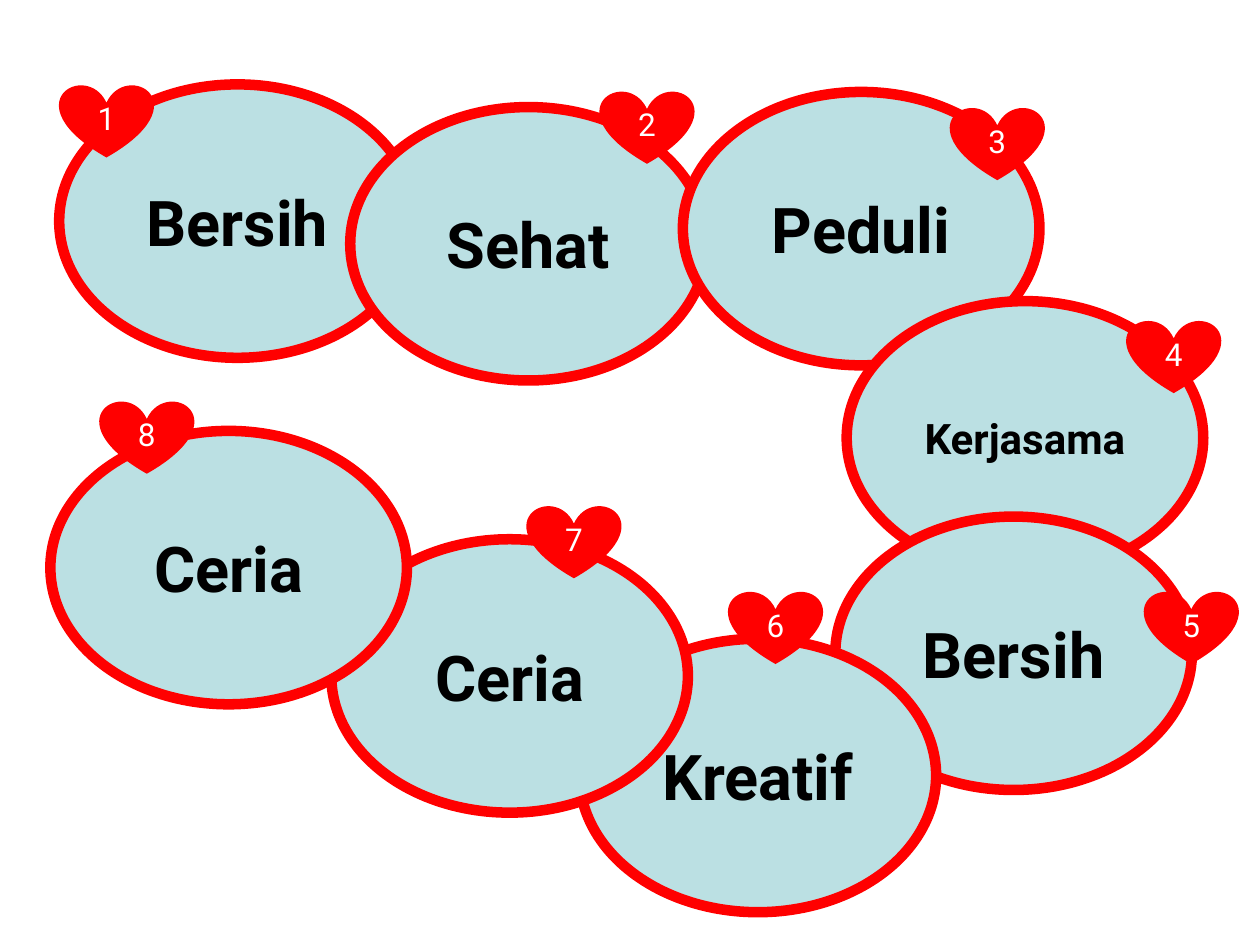
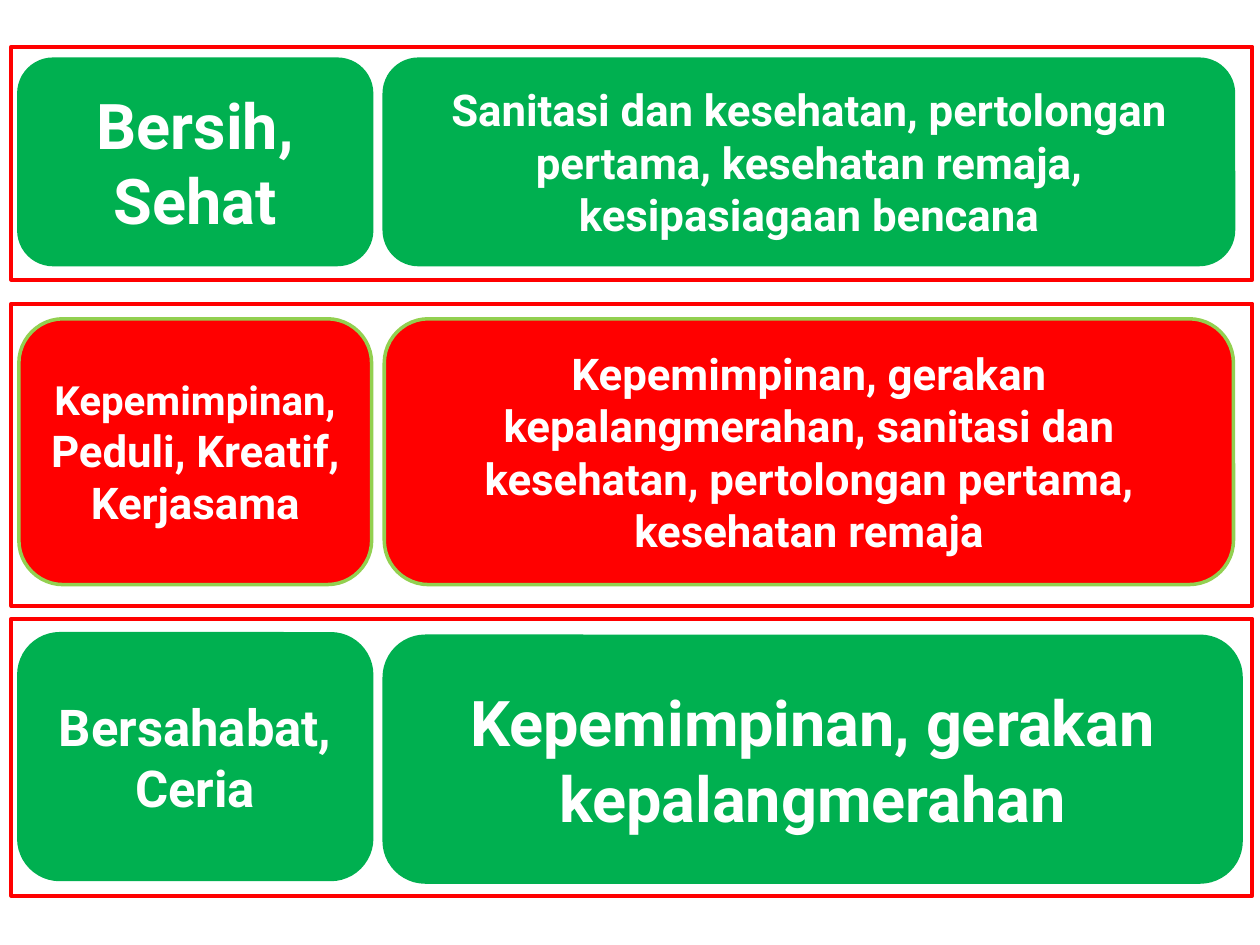
from dataclasses import dataclass

from pptx import Presentation
from pptx.dml.color import RGBColor
from pptx.enum.shapes import MSO_SHAPE
from pptx.enum.text import MSO_ANCHOR, PP_ALIGN
from pptx.util import Inches, Pt


@dataclass(frozen=True)
class Theme:
    font: str = "Roboto"
    red: str = "FF0000"
    green: str = "00B050"
    lime: str = "92D050"
    pale: str = "BBE0E3"
    black: str = "000000"
    white: str = "FFFFFF"
    big: float = 36
    medium: float = 29
    body: float = 25
    small: float = 24
    compact: float = 23
    number: float = 18
    thick: float = 6
    frame: float = 2.25
    thin: float = 2


T = Theme()
WIDTH, HEIGHT = Inches(10), Inches(7.5)
COL, ROW = WIDTH / 100, HEIGHT / 75  # grid of 100 columns by 75 rows


@dataclass(frozen=True)
class Box:
    col: float
    row: float
    cols: float
    rows: float


@dataclass(frozen=True)
class Look:
    fill: str | None = None
    line: str | None = None
    weight: float = 0


@dataclass(frozen=True)
class Text:
    words: str
    size: float
    color: str
    bold: bool = True


@dataclass(frozen=True)
class Value:
    name: str
    oval: tuple[float, float]
    heart: tuple[float, float]
    size: float = T.big


@dataclass(frozen=True)
class Band:
    frame_row: float
    frame_rows: float
    card_row: float
    card_rows: float
    look: Look
    label: list[Text]
    detail: Text
    detail_shift: float = 0
    detail_cols: float = 67.4


OVAL = Look(T.pale, T.red, T.thick)
HEART = Look(T.red)
FRAME = Look(line=T.red, weight=T.frame)
GREEN = Look(T.green, T.green, T.thin)
RED = Look(T.red, T.lime, T.thin)

# Chain of values, in drawing order
VALUES = [
    Value("Bersih", (4.7, 6.7), (4.7, 6.7)),
    Value("Sehat", (27.8, 8.5), (47.6, 7.2)),
    Value("Peduli", (54.2, 7.3), (75.4, 8.5)),
    Value("Kerjasama", (67.2, 23.9), (89.4, 25.4), T.small),
    Value("Bersih", (66.3, 41), (90.8, 46.9)),
    Value("Kreatif", (46, 50.7), (57.8, 46.9)),
    Value("Ceria", (26.3, 42.8), (41.8, 40.1)),
    Value("Ceria", (4, 34.2), (7.9, 31.8)),
]

# Values matched with their subjects
BANDS = [
    Band(3.7, 18.5, 4.7, 16.3, GREEN,
         [Text("Bersih, Sehat", T.big, T.white)],
         Text("Sanitasi dan kesehatan, pertolongan pertama, "
              "kesehatan remaja, kesipasiagaan bencana", T.body, T.white)),
    Band(24.1, 24, 25.3, 21.1, RED,
         [Text("Kepemimpinan, ", T.compact, T.white),
          Text("Peduli, Kreatif, Kerjasama", T.body, T.white)],
         Text("Kepemimpinan, gerakan kepalangmerahan, sanitasi dan kesehatan, "
              "pertolongan pertama, kesehatan remaja", T.body, T.white)),
    Band(49.1, 22, 50.3, 19.5, GREEN,
         [Text("Bersahabat, Ceria", T.medium, T.white)],
         Text("Kepemimpinan, gerakan kepalangmerahan", T.big, T.white),
         detail_shift=0.2, detail_cols=68),
]


def add_shape(s, kind: MSO_SHAPE, box: Box, look: Look, *texts: Text) -> None:
    """Draw one shape with centred text."""
    sp = s.shapes.add_shape(kind, round(box.col * COL), round(box.row * ROW),
                            round(box.cols * COL), round(box.rows * ROW))
    sp.shadow.inherit = False
    for part, color in ((sp.fill, look.fill), (sp.line.fill, look.line)):
        if color:
            part.solid()
            part.fore_color.rgb = RGBColor.from_string(color)
        else:
            part.background()
    if look.line:
        sp.line.width = Pt(look.weight)

    tf = sp.text_frame
    tf.word_wrap = True
    tf.vertical_anchor = MSO_ANCHOR.MIDDLE
    p = tf.paragraphs[0]
    p.alignment = PP_ALIGN.CENTER
    for text in texts:
        r = p.add_run()
        r.text = text.words
        formats = {"name": T.font, "size": Pt(text.size), "bold": text.bold}
        for key, value in formats.items():
            setattr(r.font, key, value)
        r.font.color.rgb = RGBColor.from_string(text.color)


def draw_chain(s) -> None:
    """Overlapping ovals, with a numbered heart on each."""
    for value in VALUES:
        add_shape(s, MSO_SHAPE.OVAL, Box(*value.oval, 28.3, 21.7), OVAL,
                  Text(value.name, value.size, T.black))
    for number, value in enumerate(VALUES, 1):
        add_shape(s, MSO_SHAPE.HEART, Box(*value.heart, 7.5, 5.8), HEART,
                  Text(str(number), T.number, T.white, bold=False))


def draw_band(s, band: Band) -> None:
    """A label card and a detail card inside a frame."""
    label = Box(1.5, band.card_row, 28, band.card_rows)
    detail = Box(30.5, band.card_row + band.detail_shift,
                 band.detail_cols, band.card_rows)
    add_shape(s, MSO_SHAPE.ROUNDED_RECTANGLE, label, band.look, *band.label)
    add_shape(s, MSO_SHAPE.ROUNDED_RECTANGLE, detail, band.look, band.detail)
    add_shape(s, MSO_SHAPE.RECTANGLE,
              Box(0.9, band.frame_row, 98.5, band.frame_rows), FRAME)


def main() -> None:
    prs = Presentation()
    prs.slide_width, prs.slide_height = WIDTH, HEIGHT
    blank = prs.slide_layouts[6]
    draw_chain(prs.slides.add_slide(blank))
    s = prs.slides.add_slide(blank)
    for band in BANDS:
        draw_band(s, band)
    prs.save("out.pptx")


if __name__ == "__main__":
    main()
